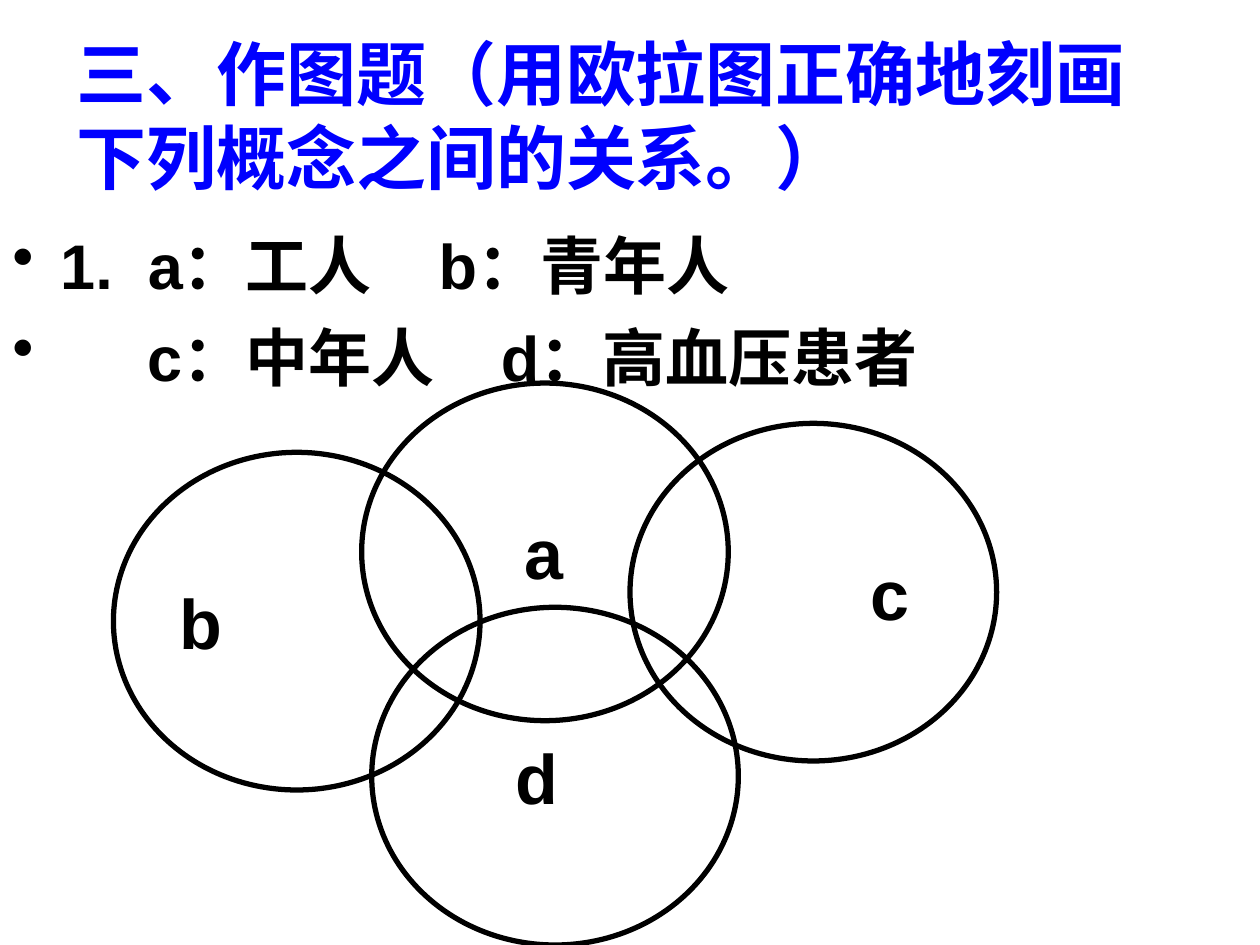
import lxml.etree
import pptx
import pptx.dml.color
import pptx.enum.shapes
import pptx.enum.text
import pptx.oxml.ns
import pptx.util

COLORS = {"title": "0000FF", "ink": "000000", "background": "FFFFFF"}
SLIDE_WIDTH, SLIDE_HEIGHT = 10, 7.5
TITLE_BOX = (0.51, 0.28, 9, 1.25)
BODY_BOX = (0, 1.75, 10, 5.75)
CIRCLE_SIZE = (2.91, 2.68)
LABEL_STEP = 0.154

# Each line: left indent, pieces of text separated by a widened gap in points
CONCEPT_LINES = [
    (0.38, ["1.", 10, "a：工人", 30, "b：青年人"]),
    (1.07, ["c：中年人", 30, "d：高血压患者"]),
]
# Each circle: label, left, top, label indent in steps
CIRCLES = [
    ("a", 2.87, 3.04, 5),
    ("b", 0.9, 3.59, 0),
    ("c", 5, 3.36, 9),
    ("d", 2.95, 4.82, 4),
]


def rgb(name):
    return pptx.dml.color.RGBColor.from_string(COLORS[name])


def inches(values):
    return [pptx.util.Inches(value) for value in values]


def set_font(font, size, color):
    formats = {"name": "Arial", "size": pptx.util.Pt(size), "bold": True}
    for attribute, value in formats.items():
        setattr(font, attribute, value)
    font.color.rgb = rgb(color)


def set_indent(paragraph, left, hanging=0):
    properties = paragraph._p.get_or_add_pPr()
    properties.set("marL", str(pptx.util.Inches(left)))
    properties.set("indent", str(-pptx.util.Inches(hanging)))
    return properties


def add_text_frame(slide, box, anchor):
    frame = slide.shapes.add_textbox(*inches(box)).text_frame
    frame.word_wrap = True
    frame.vertical_anchor = anchor
    return frame


def add_title(slide, box):
    frame = add_text_frame(slide, box, pptx.enum.text.MSO_ANCHOR.MIDDLE)
    run = frame.paragraphs[0].add_run()
    run.text = "三、作图题（用欧拉图正确地刻画下列概念之间的关系。）"
    set_font(run.font, 40, "title")


def add_concepts(slide, box):
    frame = add_text_frame(slide, box, pptx.enum.text.MSO_ANCHOR.TOP)
    for number, (indent, pieces) in enumerate(CONCEPT_LINES):
        paragraph = frame.add_paragraph() if number else frame.paragraphs[0]
        properties = set_indent(paragraph, indent, indent)
        bullet = lxml.etree.SubElement(properties, pptx.oxml.ns.qn("a:buChar"))
        bullet.set("char", "•")
        if number:
            paragraph.space_before = pptx.util.Pt(9)
        for piece in pieces:
            run = paragraph.add_run()
            is_gap = not isinstance(piece, str)
            run.text = " " if is_gap else piece
            set_font(run.font, 36, "ink")
            if is_gap:
                # Letter spacing, in hundredths of a point
                run._r.get_or_add_rPr().set("spc", str(piece * 100))


def add_circle(slide, box, label, steps):
    circle = slide.shapes.add_shape(
        pptx.enum.shapes.MSO_SHAPE.OVAL, *inches(box))
    circle.shadow.inherit = False
    circle.fill.background()
    circle.line.color.rgb = rgb("ink")
    circle.line.width = pptx.util.Pt(3)
    frame = circle.text_frame
    frame.word_wrap = True
    frame.vertical_anchor = pptx.enum.text.MSO_ANCHOR.MIDDLE
    paragraph = frame.paragraphs[0]
    paragraph.alignment = pptx.enum.text.PP_ALIGN.LEFT
    set_indent(paragraph, steps * LABEL_STEP)
    run = paragraph.add_run()
    run.text = label
    set_font(run.font, 40, "ink")


def add_euler_diagram(slide, size):
    for label, left, top, steps in CIRCLES:
        add_circle(slide, (left, top, *size), label, steps)


def main():
    presentation = pptx.Presentation()
    presentation.slide_width = pptx.util.Inches(SLIDE_WIDTH)
    presentation.slide_height = pptx.util.Inches(SLIDE_HEIGHT)
    slide = presentation.slides.add_slide(presentation.slide_layouts[6])
    slide.background.fill.solid()
    slide.background.fill.fore_color.rgb = rgb("background")
    add_title(slide, TITLE_BOX)
    add_concepts(slide, BODY_BOX)
    add_euler_diagram(slide, CIRCLE_SIZE)
    presentation.save("out.pptx")


if __name__ == "__main__":
    main()
